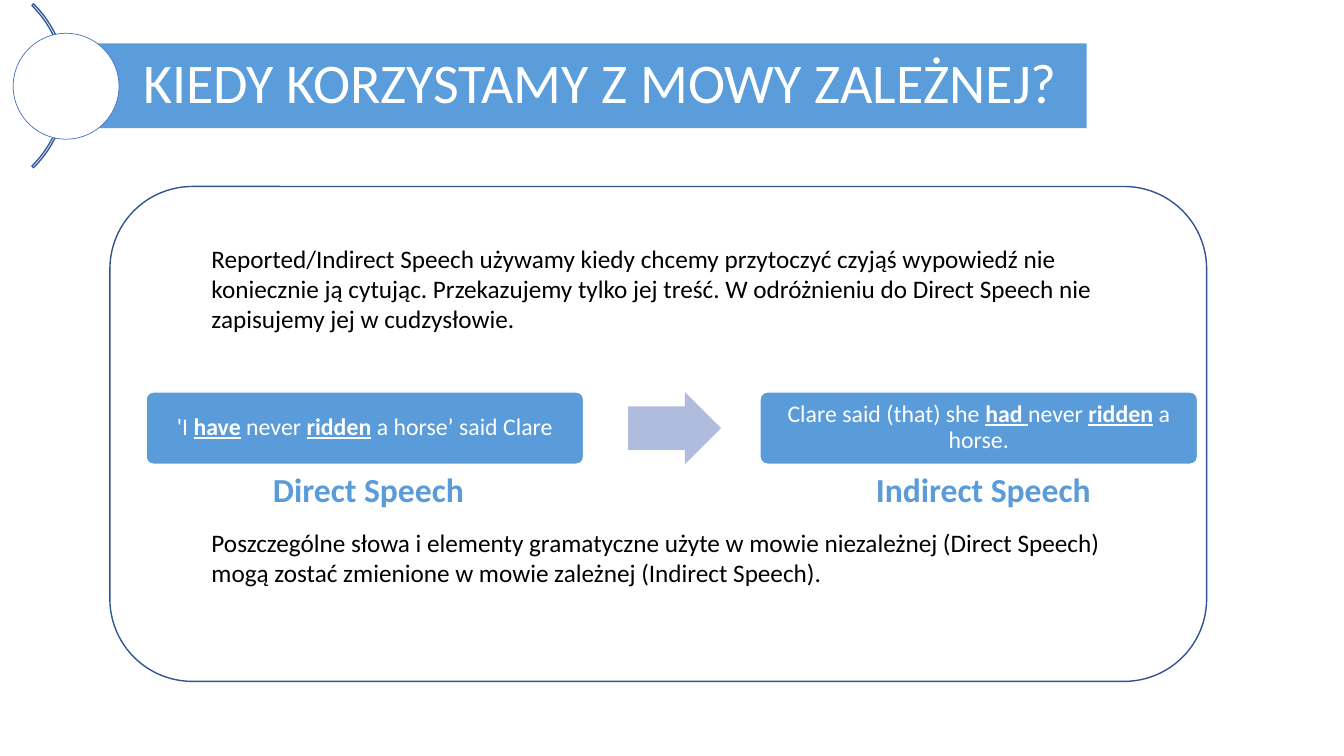
from pptx import Presentation
from pptx.dml.color import RGBColor
from pptx.enum.shapes import MSO_SHAPE
from pptx.enum.text import MSO_ANCHOR, PP_ALIGN
from pptx.util import Pt

ARC = MSO_SHAPE.BLOCK_ARC
RECT = MSO_SHAPE.RECTANGLE
OVAL = MSO_SHAPE.OVAL
ROUND = MSO_SHAPE.ROUNDED_RECTANGLE
ARROW = MSO_SHAPE.RIGHT_ARROW
MID = MSO_ANCHOR.MIDDLE
TOP = MSO_ANCHOR.TOP
LEFT = PP_ALIGN.LEFT
CENTER = PP_ALIGN.CENTER

FONT = "Calibri"
HUES = {
    "banner": "5B9DDB", "card": "5A9BD9", "arrow": "B0BCDE",
    "arc": "365B9D", "ring": "4472C4", "frame": "325491",
    "white": "FFFFFF", "black": "000000",
}
TITLE = "KIEDY KORZYSTAMY Z MOWY ZALEŻNEJ?"
NOTES = [
    (169.9, 72.7, "Reported/Indirect Speech używamy kiedy chcemy przytoczyć czyjąś "
     "wypowiedź nie koniecznie ją cytując. Przekazujemy tylko jej treść. "
     "W odróżnieniu do Direct Speech nie zapisujemy jej w cudzysłowie."),
    (373, 51, "Poszczególne słowa i elementy gramatyczne użyte w mowie niezależnej "
     "(Direct Speech) mogą zostać zmienione w mowie zależnej (Indirect Speech)."),
]
CARDS = [
    ("Direct Speech", 133.2,
     [("'I ", False), ("have", True), (" never ", False), ("ridden", True),
      (" a horse’ said Clare", False)]),
    ("Indirect Speech", 572.4,
     [("Clare said (that) she ", False), ("had ", True), ("never ", False),
      ("ridden", True), (" a horse.", False)]),
]
CARD_X, CARD_Y, CARD_W, CARD_H = 104.4, 280, 312.5, 51.6
STEP = 438.5
ARROW_W = 66.4

deck = Presentation()
deck.slide_width, deck.slide_height = Pt(960), Pt(540)
slide = deck.slides.add_slide(deck.slide_layouts[6])


def color(name):
    return RGBColor.from_string(HUES[name])


def draw(kind, box, fill=None, line=None, width=1, adjust=()):
    shape = slide.shapes.add_shape(kind, *map(Pt, box))
    shape.shadow.inherit = False
    if fill:
        shape.fill.solid()
        shape.fill.fore_color.rgb = color(fill)
    else:
        shape.fill.background()
    if line:
        shape.line.color.rgb = color(line)
        shape.line.width = Pt(width)
    else:
        shape.line.fill.background()
    for i, value in enumerate(adjust):
        shape.adjustments[i] = value
    return shape


def write(shape, runs, size, hue, align=LEFT, anchor=TOP,
          pads=(7.2, 3.6, 7.2, 3.6), space=1.0, under=True):
    frame = shape.text_frame
    frame.word_wrap = True
    frame.vertical_anchor = anchor
    (frame.margin_left, frame.margin_top,
     frame.margin_right, frame.margin_bottom) = map(Pt, pads)
    para = frame.paragraphs[0]
    para.alignment = align
    para.line_spacing = space
    for text, strong in runs:
        run = para.add_run()
        run.text = text
        run.font.name = FONT
        run.font.size = Pt(size)
        run.font.bold = strong
        run.font.underline = strong and under
        run.font.color.rgb = color(hue)


def label(box, *args, **style):
    write(slide.shapes.add_textbox(*map(Pt, box)), *args, **style)


draw(ARC, (-117.4, -21.5, 165.6, 165.6), line="arc", adjust=(189, 27, 0.01))
banner = draw(RECT, (53.3, 31, 722.9, 60.5), "banner")
write(banner, [(TITLE, False)], 40, "white", anchor=MID,
      pads=(49, 7.9, 7.9, 7.9), space=0.9)
draw(OVAL, (9.4, 23.8, 75.6, 75.6), "white", "ring", 0.5)
draw(ROUND, (78.5, 133.2, 783.4, 353.5), line="frame")

for top, height, text in NOTES:
    label((144, top, 652.3, height), [(text, False)], 18, "black")

for i, (name, left, runs) in enumerate(CARDS):
    card = draw(ROUND, (CARD_X + i * STEP, CARD_Y, CARD_W, CARD_H),
                "card", "white", adjust=(0.1,))
    write(card, runs, 17, "white", CENTER, MID, (6.5,) * 4, 0.9)
    label((left, 331.2, 260, 36), [(name, True)], 24, "card",
          align=CENTER, under=False)

draw(ARROW, (448.6, CARD_Y, ARROW_W, CARD_H), "arrow", adjust=(0.6, 0.5))

deck.save("out.pptx")
